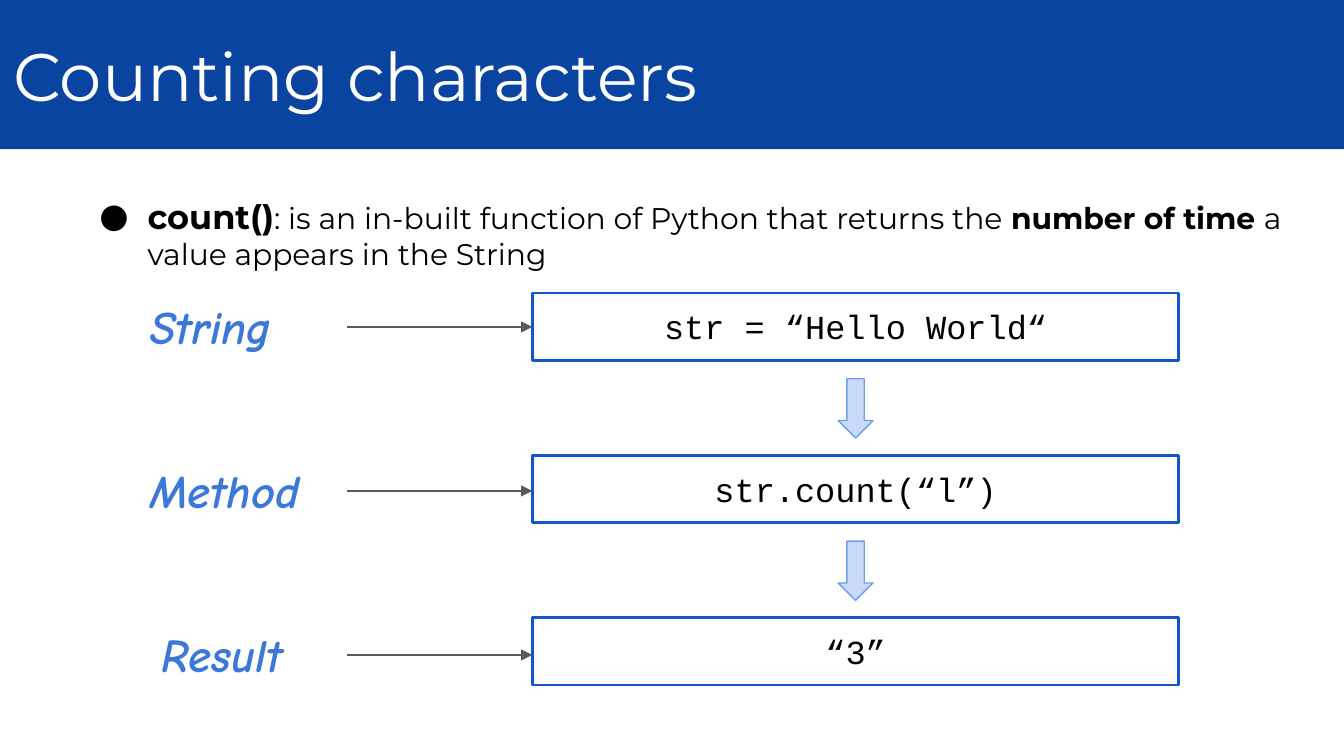
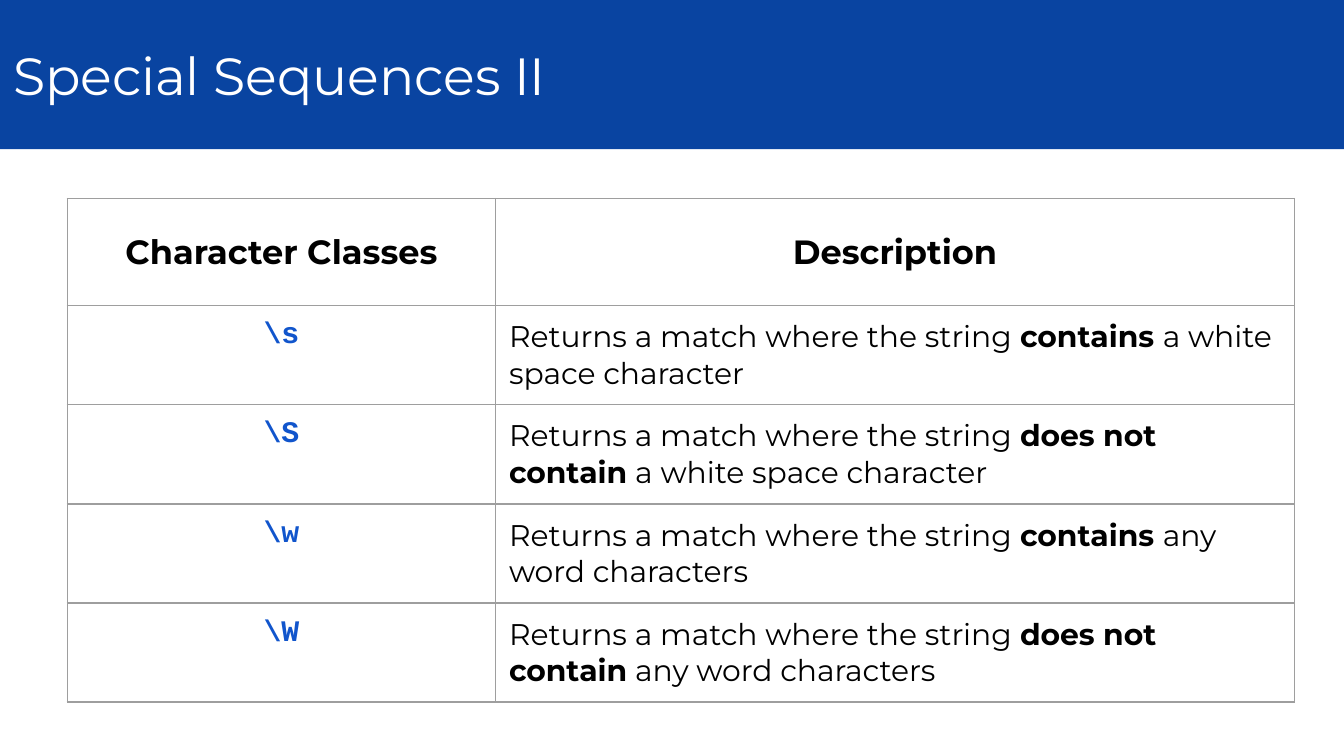
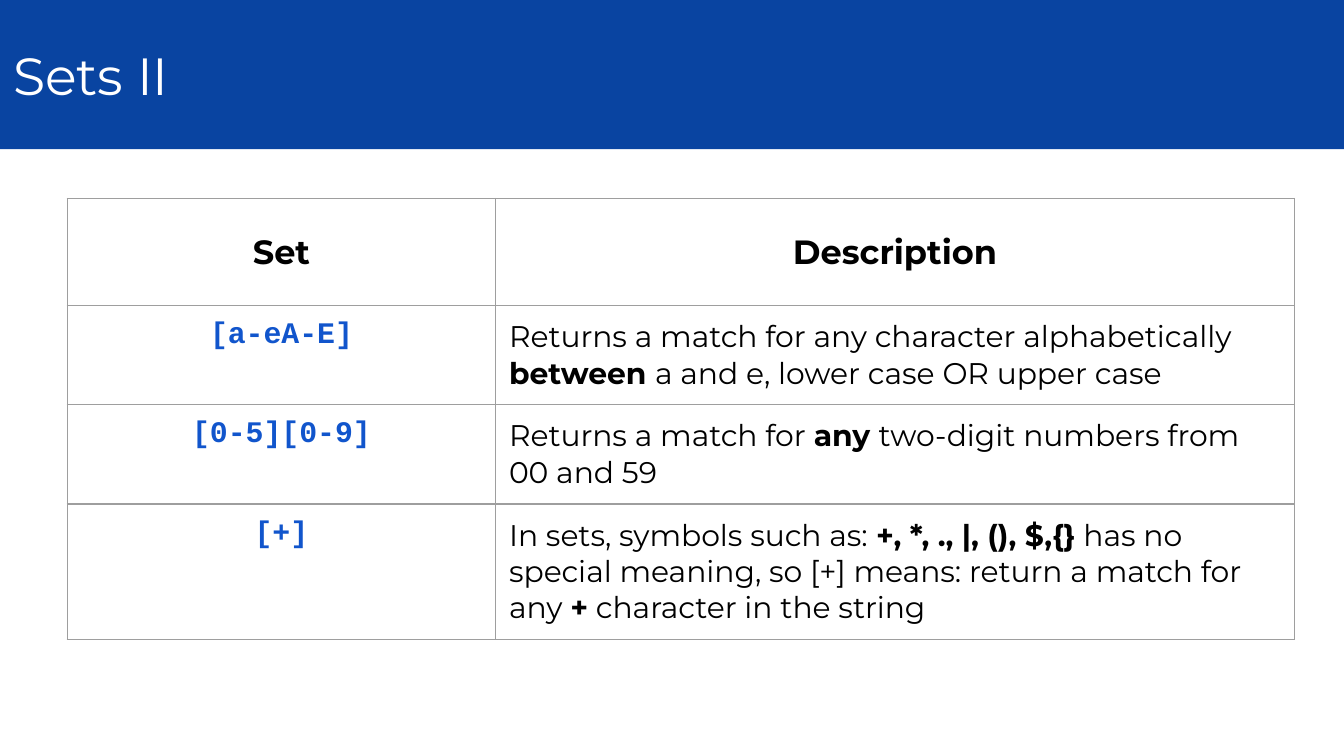
"""Builds three Python lesson slides on counting characters, sequences and sets."""
from lxml import etree
from pptx import Presentation
from pptx.dml.color import RGBColor
from pptx.enum.shapes import MSO_CONNECTOR, MSO_SHAPE
from pptx.enum.text import MSO_ANCHOR, MSO_AUTO_SIZE, PP_ALIGN
from pptx.oxml.ns import qn
from pptx.util import Cm, Pt

RECTANGLE, DOWN_ARROW = MSO_SHAPE.RECTANGLE, MSO_SHAPE.DOWN_ARROW
STRAIGHT = MSO_CONNECTOR.STRAIGHT
TOP, MIDDLE = MSO_ANCHOR.TOP, MSO_ANCHOR.MIDDLE
FIXED, GROW = MSO_AUTO_SIZE.NONE, MSO_AUTO_SIZE.SHAPE_TO_FIT_TEXT
LEFT, CENTER = PP_ALIGN.LEFT, PP_ALIGN.CENTER

WHITE = RGBColor(0xFF, 0xFF, 0xFF)
BLACK = RGBColor(0x00, 0x00, 0x00)
BAND_BLUE = RGBColor(0x09, 0x44, 0xA1)
CODE_BLUE = RGBColor(0x11, 0x55, 0xCC)
LABEL_BLUE = RGBColor(0x3C, 0x78, 0xD8)
ARROW_FILL = RGBColor(0xC9, 0xDA, 0xF8)
ARROW_EDGE = RGBColor(0x6D, 0x9E, 0xEB)
GREY = RGBColor(0x59, 0x59, 0x59)
GRID = RGBColor(0x9E, 0x9E, 0x9E)

WIDTH, HEIGHT, BAND_HEIGHT = 25.4, 14.29, 2.82
SANS, MONO, HAND = "Montserrat", "Courier New", "Comic Neue"

TITLE = {"name": SANS, "size": Pt(28), "color": WHITE}
BODY = {"name": SANS, "size": Pt(16), "color": BLACK, "bold": False}
HEADER = {**BODY, "size": Pt(18), "bold": True}
LABEL = {"name": HAND, "size": Pt(25), "color": LABEL_BLUE, "bold": True, "italic": True}
CODE = {"name": MONO, "size": Pt(18), "color": BLACK}
PATTERN = {"name": MONO, "size": Pt(16), "color": CODE_BLUE, "bold": True}


class Deck:
    """Holds the shared style and the current slide."""

    def __init__(self):
        self.presentation = Presentation()
        self.presentation.slide_width = Cm(WIDTH)
        self.presentation.slide_height = Cm(HEIGHT)
        self.slide = None

    def add_slide(self, title, size=28):
        self.slide = self.presentation.slides.add_slide(self.presentation.slide_layouts[6])
        band = self.add_block(RECTANGLE, (0, 0, WIDTH, BAND_HEIGHT), fill=BAND_BLUE)
        self.set_frame(band.text_frame, MIDDLE, FIXED)
        self.add_runs(band.text_frame, title, {**TITLE, "size": Pt(size)})

    def set_frame(self, frame, anchor=TOP, auto_size=GROW):
        settings = {"word_wrap": True, "vertical_anchor": anchor, "auto_size": auto_size}
        for name, value in settings.items():
            setattr(frame, name, value)
        self.set_margins(frame)

    def set_margins(self, holder):
        for side in ("left", "right", "top", "bottom"):
            setattr(holder, f"margin_{side}", Cm(0.25))

    def add_runs(self, frame, text, style, align=LEFT, lead=None):
        """Adds text with **bold** parts, the first in the lead style if given."""
        paragraph = frame.paragraphs[0]
        paragraph.alignment = align
        for index, part in enumerate(text.split("**")):
            if not part:
                continue
            run = paragraph.add_run()
            run.text = part
            look = {**style, "bold": True} if index % 2 else style
            if lead:
                look, lead = lead, None
            for name, value in look.items():
                if name == "color":
                    run.font.color.rgb = value
                else:
                    setattr(run.font, name, value)
        return paragraph

    def add_block(self, kind, place, fill=None, line=None, weight=1.5):
        block = self.slide.shapes.add_shape(kind, *map(Cm, place))
        block.shadow.inherit = False
        if fill is None:
            block.fill.background()
        else:
            block.fill.solid()
            block.fill.fore_color.rgb = fill
        if line is None:
            block.line.fill.background()
        else:
            block.line.color.rgb = line
            block.line.width = Pt(weight)
        return block

    def add_code(self, code, place):
        block = self.add_block(RECTANGLE, place, line=CODE_BLUE)
        self.set_frame(block.text_frame)
        self.add_runs(block.text_frame, code, CODE, CENTER)

    def add_text(self, text, place, style, lead=None):
        frame = self.slide.shapes.add_textbox(*map(Cm, place)).text_frame
        self.set_frame(frame)
        return self.add_runs(frame, text, style, lead=lead)

    def add_bullet(self, text, place, style, lead):
        properties = self.add_text(text, place, style, lead)._p.get_or_add_pPr()
        properties.set("marL", str(Cm(1.27)))
        properties.set("indent", str(Cm(-0.91)))
        color = etree.SubElement(properties, qn("a:buClr"))
        etree.SubElement(color, qn("a:srgbClr"), val=str(BLACK))
        etree.SubElement(properties, qn("a:buFont"), typeface=SANS)
        etree.SubElement(properties, qn("a:buChar"), char="●")

    def add_arrow(self, start, end, y):
        arrow = self.slide.shapes.add_connector(STRAIGHT, Cm(start), Cm(y), Cm(end), Cm(y))
        arrow.line.color.rgb = GREY
        arrow.line.width = Pt(1.5)
        outline = arrow._element.spPr.find(qn("a:ln"))
        etree.SubElement(outline, qn("a:tailEnd"), type="triangle")
        etree.SubElement(arrow._element.spPr, qn("a:effectLst"))

    def add_table(self, headers, rows):
        widths, heights = (8.1, 15.09), [2.03] + [1.2] * len(rows)
        table = self.slide.shapes.add_table(
            len(heights), len(widths), Cm(1.27), Cm(3.75), Cm(sum(widths)), Cm(sum(heights))
        ).table
        table.first_row = table.horz_banding = False
        for column, width in zip(table.columns, widths):
            column.width = Cm(width)
        for row, height in zip(table.rows, heights):
            row.height = Cm(height)
        for column, header in enumerate(headers):
            self.fill_cell(table.cell(0, column), header, HEADER, CENTER, MIDDLE)
        for row, (pattern, description) in enumerate(rows, 1):
            self.fill_cell(table.cell(row, 0), pattern, PATTERN, CENTER)
            self.fill_cell(table.cell(row, 1), description, BODY)

    def fill_cell(self, cell, text, style, align=LEFT, anchor=TOP):
        self.set_margins(cell)
        cell.vertical_anchor = anchor
        properties = cell._tc.get_or_add_tcPr()
        for side in ("lnL", "lnR", "lnT", "lnB"):
            border = etree.SubElement(properties, qn(f"a:{side}"), w=str(Pt(0.75)))
            fill = etree.SubElement(border, qn("a:solidFill"))
            etree.SubElement(fill, qn("a:srgbClr"), val=str(GRID))
        cell.fill.background()
        self.add_runs(cell.text_frame, text, style, align)


def add_counting(deck):
    deck.add_slide("Counting characters", 36)
    deck.add_bullet(
        "**count()**: is an in-built function of Python that returns the "
        "**number of time **a value appears in the String",
        (1.27, 3.45, 23.22, 10.19), BODY, HEADER,
    )
    steps = (
        ("String", 3.96, "str = “Hello World“"),
        ("Method", 3.96, "str.count(“l”)"),
        ("Result", 3.53, "“3”"),
    )
    label_center, box_left, box_width = 4.57, 10.06, 12.22
    for index, (label, label_width, code) in enumerate(steps):
        label_top, box_top = 5.38 + 3.1 * index, 5.54 + 3.07 * index
        deck.add_text(
            label, (label_center - label_width / 2, label_top, label_width, 1.57), LABEL
        )
        deck.add_code(code, (box_left, box_top, box_width, 1.27))
        deck.add_arrow(6.55, box_left, label_top + 0.8)
        if index < len(steps) - 1:
            deck.add_block(
                DOWN_ARROW, (box_left + box_width / 2 - 0.33, box_top + 1.62, 0.66, 1.12),
                ARROW_FILL, ARROW_EDGE, 0.75,
            )


def add_sequences(deck):
    deck.add_slide("Special Sequences II")
    match = "Returns a match where the string "
    deck.add_table(("Character Classes", "Description"), (
        (r"\s", match + "**contains **a white space character"),
        (r"\S", match + "**does not contain** a white space character"),
        (r"\w", match + "**contains **any word characters"),
        (r"\W", match + "**does not contain** any word characters"),
    ))


def add_sets(deck):
    deck.add_slide("Sets II")
    deck.add_table(("Set", "Description"), (
        ("[a-eA-E]", "Returns a match for any character alphabetically "
                     "**between **a and e, lower case OR upper case"),
        ("[0-5][0-9]", "Returns a match for **any **two-digit numbers from 00 and 59"),
        ("[+]", "In sets, symbols such as: **+, *, ., |, (), $,{}** has no special meaning, "
                "so [+] means: return a match for any **+** character in the string"),
    ))


def main():
    deck = Deck()
    add_counting(deck)
    add_sequences(deck)
    add_sets(deck)
    deck.presentation.save("out.pptx")


if __name__ == "__main__":
    main()
